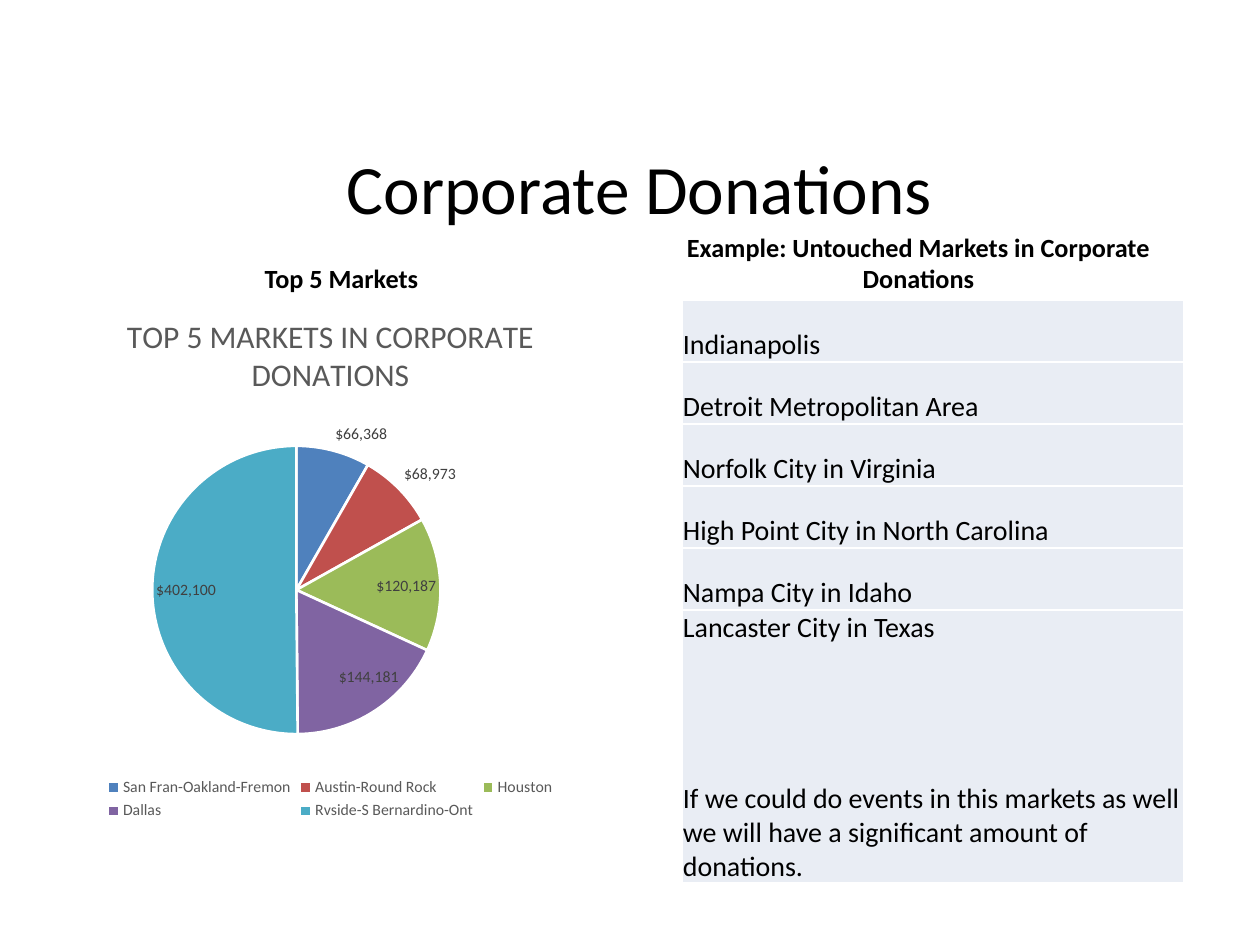
from dataclasses import dataclass

from pptx import Presentation
from pptx.chart.data import CategoryChartData
from pptx.dml.color import RGBColor
from pptx.enum.chart import XL_CHART_TYPE as ChartType
from pptx.enum.chart import XL_LABEL_POSITION as LabelPosition
from pptx.enum.chart import XL_LEGEND_POSITION as LegendPosition
from pptx.enum.text import MSO_ANCHOR as Anchor
from pptx.enum.text import PP_ALIGN as Align
from pptx.oxml import parse_xml
from pptx.oxml.ns import nsdecls
from pptx.util import Emu, Pt

PX_PER_INCH = 126


@dataclass(frozen=True)
class Theme:
    font: str = "Calibri"
    ink: str = "000000"
    muted: str = "595959"
    label: str = "404040"
    line: str = "FFFFFF"
    row: str = "E9EDF4"
    slices: tuple = ("4F81BD", "C0504D", "9BBB59", "8064A2", "4BACC6")
    title: float = 39.6
    heading: float = 15
    body: float = 16
    chart_title: float = 18
    small: float = 9


THEME = Theme()

DONATIONS = {
    "San Fran-Oakland-Fremon": 66368,
    "Austin-Round Rock": 68973,
    "Houston": 120187,
    "Dallas": 144181,
    "Rvside-S Bernardino-Ont": 402100,
}
MARKETS = [
    "Indianapolis",
    "Detroit Metropolitan Area",
    "Norfolk City in Virginia",
    "High Point City in North Carolina",
    "Nampa City in Idaho",
    "Lancaster City in Texas",
]
CONCLUSION = ("If we could do events in this markets as well we will have "
              "a significant amount of donations.")


def px(length):
    return Emu(round(length * 914400 / PX_PER_INCH))


def style_font(font, size, color, bold=False):
    font.name = THEME.font
    font.size = Pt(size)
    font.bold = bold
    font.color.rgb = RGBColor.from_string(color)


def write(paragraph, text, size=THEME.body, color=THEME.ink, bold=False,
          align=Align.LEFT, before=0):
    paragraph.alignment = align
    paragraph.space_before = Pt(before)
    run = paragraph.add_run()
    run.text = text
    style_font(run.font, size, color, bold)


def add_heading(slide, box, text, anchor, **style):
    frame = slide.shapes.add_textbox(*map(px, box)).text_frame
    frame.word_wrap = True
    frame.vertical_anchor = anchor
    write(frame.paragraphs[0], text, align=Align.CENTER, **style)


def place_plot(chart, **fractions):
    """Fix the inner plot area as fractions of the chart box."""
    parts = "".join(f'<c:{key} val="{value}"/>' for key, value in fractions.items())
    layout = parse_xml(
        f'<c:layout {nsdecls("c")}><c:manualLayout><c:layoutTarget val="inner"/>'
        f'<c:xMode val="edge"/><c:yMode val="edge"/>{parts}'
        "</c:manualLayout></c:layout>")
    plot_area = chart.plots[0]._element.getparent()
    for automatic in plot_area.findall(layout.tag):
        plot_area.remove(automatic)
    plot_area.insert(0, layout)


def add_donation_pie(slide, box):
    data = CategoryChartData(number_format='"$"#,##0')
    data.categories = list(DONATIONS)
    data.add_series("Series 1", list(DONATIONS.values()))
    chart = slide.shapes.add_chart(ChartType.PIE, *map(px, box), data).chart
    style_font(chart.font, 10, THEME.ink)

    # Title and legend
    chart.has_title = True
    write(chart.chart_title.text_frame.paragraphs[0],
          "TOP 5 MARKETS IN CORPORATE DONATIONS",
          size=THEME.chart_title, color=THEME.muted, align=Align.CENTER)
    chart.chart_title.include_in_layout = False
    chart.has_legend = True
    chart.legend.position = LegendPosition.BOTTOM
    chart.legend.include_in_layout = False
    style_font(chart.legend.font, THEME.small, THEME.muted)

    # Slices
    pie = chart.plots[0]
    pie.vary_by_categories = True
    for index, color in enumerate(THEME.slices):
        part = pie.series[0].points[index].format
        part.fill.solid()
        part.fill.fore_color.rgb = RGBColor.from_string(color)
        part.line.color.rgb = RGBColor.from_string(THEME.line)
        part.line.width = Pt(1.5)

    # Amounts
    amounts = pie.series[0].data_labels
    amounts.show_value = True
    amounts.number_format = '"$"#,##0'
    amounts.number_format_is_linked = False
    amounts.position = LabelPosition.BEST_FIT
    style_font(amounts.font, THEME.small, THEME.label)
    place_plot(chart, x=0.21, y=0.29, w=0.47, h=0.54)


def add_borders(cell, color, points):
    properties = cell._tc.get_or_add_tcPr()
    for index, side in enumerate(("lnL", "lnR", "lnT", "lnB")):
        properties.insert(index, parse_xml(
            f'<a:{side} {nsdecls("a")} w="{Pt(points)}"><a:solidFill>'
            f'<a:srgbClr val="{color}"/></a:solidFill></a:{side}>'))


def add_market_table(slide, box, row_height):
    left, top, width, height = box
    table = slide.shapes.add_table(len(MARKETS), 1, *map(px, box)).table
    table.first_row = table.horz_banding = False
    table.columns[0].width = px(width)
    last = len(MARKETS) - 1
    for index, market in enumerate(MARKETS):
        table.rows[index].height = px(
            row_height if index < last else height - last * row_height)
        cell = table.cell(index, 0)
        cell.fill.solid()
        cell.fill.fore_color.rgb = RGBColor.from_string(THEME.row)
        cell.vertical_anchor = Anchor.BOTTOM
        cell.margin_left = cell.margin_right = cell.margin_top = px(1)
        cell.margin_bottom = 0
        add_borders(cell, THEME.line, 1)
        write(cell.text_frame.paragraphs[0], market)

    # Conclusion below the last market
    write(table.cell(last, 0).text_frame.add_paragraph(), CONCLUSION, before=78)


def main():
    deck = Presentation()
    deck.slide_width, deck.slide_height = px(1260), px(945)
    slide = deck.slides.add_slide(deck.slide_layouts[6])

    add_heading(slide, (97, 161, 1085, 51), "Corporate Donations",
                Anchor.MIDDLE, size=THEME.title)

    # Column headings
    headings = ("Top 5 Markets", "Example: Untouched Markets in Corporate Donations")
    for column, heading in enumerate(headings):
        add_heading(slide, (63 + column * 577, 212, 557, 88), heading,
                    Anchor.BOTTOM, size=THEME.heading, bold=True)

    add_donation_pie(slide, (21, 291, 619, 534))
    add_market_table(slide, (682, 300, 502, 583), row_height=62)
    deck.save("out.pptx")


if __name__ == "__main__":
    main()
